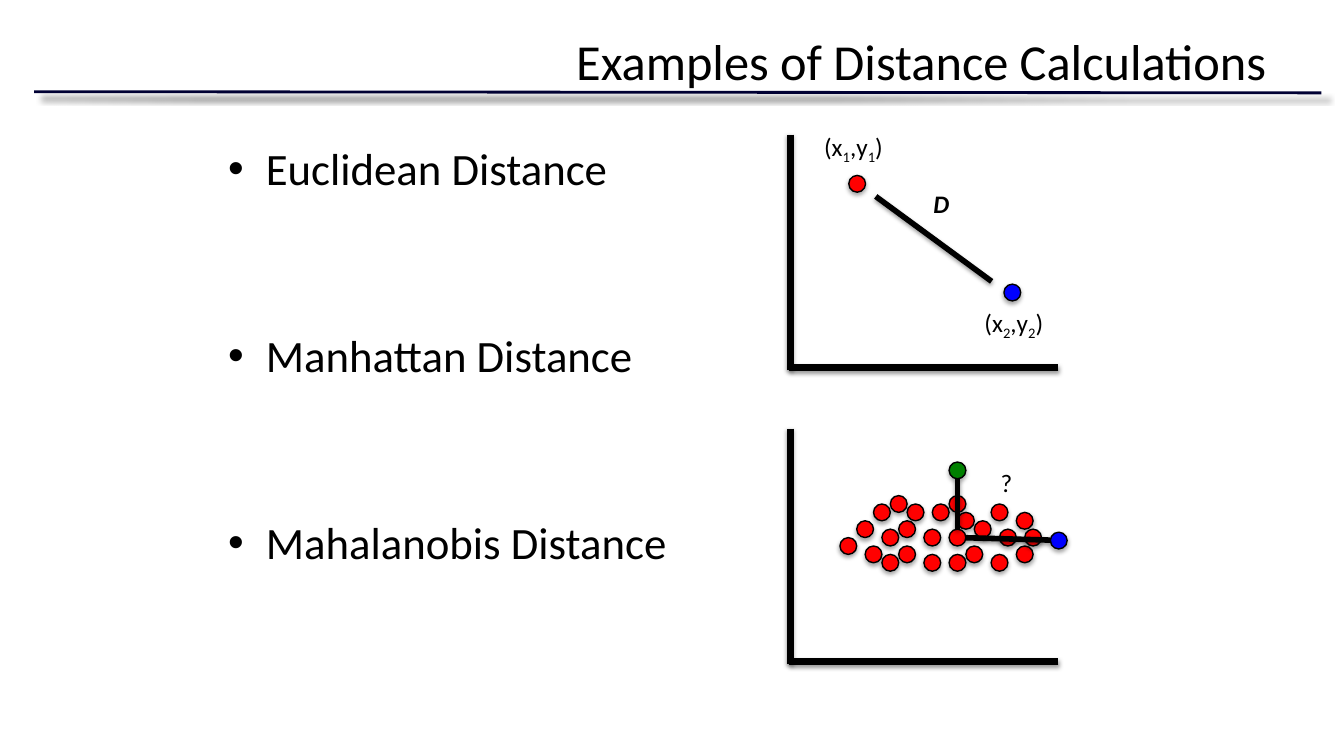
from dataclasses import dataclass

from lxml import etree
from pptx import Presentation
from pptx import util as u
from pptx.dml.color import RGBColor
from pptx.enum import shapes, text
from pptx.oxml import ns

BLACK = RGBColor(0x00, 0x00, 0x00)
NAVY = RGBColor(0x00, 0x00, 0x33)
RED = RGBColor(0xFF, 0x00, 0x00)
BLUE = RGBColor(0x00, 0x00, 0xFF)
GREEN = RGBColor(0x00, 0x80, 0x00)
FONT = "Calibri"
GRID = 2.54 / 12
DOT_SIZE = 2 * GRID


@dataclass(frozen=True)
class Shadow:
    opacity: int
    blur: float
    distance: float
    angle: int


@dataclass(frozen=True)
class Segment:
    x1: float
    y1: float
    x2: float
    y2: float
    width: float
    color: RGBColor = BLACK
    shadow: Shadow = Shadow(38, 3.1, 1.6, 90)


@dataclass(frozen=True)
class Dot:
    left: float
    top: float
    color: RGBColor


@dataclass(frozen=True)
class Label:
    left: float
    top: float
    width: float
    pieces: tuple[str, ...]
    strong: bool = False


DOT_SHADOW = Shadow(35, 3.1, 1.8, 90)
HEADER_RULE = Segment(0.86, 2.31, 33.3, 2.34, 2, NAVY, Shadow(50, 4, 6, 45))
METHODS = ("Euclidean Distance", "Manhattan Distance", "Mahalanobis Distance")
PLOT_TOPS = (3.39, 10.8)
POINT_PAIR = (Dot(25.3, 7.16, BLUE), Dot(21.39, 4.42, RED))
PAIR_DISTANCE = Segment(22.07, 4.95, 24.99, 7.09, 4)
CLUSTER_CELLS = (
    (102, 62), (104, 60), (105, 63), (103, 65), (107, 65), (107, 62),
    (108, 60), (110, 63), (110, 66), (111, 60), (114, 61), (113, 63),
    (116, 62), (115, 65), (118, 60), (118, 66), (113, 66), (119, 63),
    (121, 65), (121, 61), (122, 63), (113, 59), (106, 59), (100, 64),
    (105, 66),
)
OUTLIERS = (Dot(26.47, 13.41, BLUE), Dot(113 * GRID, 55 * GRID, GREEN))
OUTLIER_DISTANCES = (
    Segment(24.13, 12.07, 24.13, 13.34, 4),
    Segment(26.47, 13.61, 24.34, 13.55, 4),
)
LABELS = (
    Label(20.52, 3.18, 2.06, ("(x", "1", ",y", "1", ")")),
    Label(24.56, 7.62, 2.06, ("(x", "2", ",y", "2", ")")),
    Label(23.27, 4.62, 0.91, ("D",), True),
    Label(24.97, 11.64, 0.81, ("?",)),
)


def add_shadow(shape, shadow: Shadow) -> None:
    effects = etree.SubElement(shape._element.spPr, ns.qn("a:effectLst"))
    outer = etree.SubElement(
        effects,
        ns.qn("a:outerShdw"),
        blurRad=str(u.Pt(shadow.blur)),
        dist=str(u.Pt(shadow.distance)),
        dir=str(shadow.angle * 60000),
        algn="t",
        rotWithShape="0",
    )
    color = etree.SubElement(outer, ns.qn("a:srgbClr"), val=str(BLACK))
    etree.SubElement(color, ns.qn("a:alpha"), val=str(shadow.opacity * 1000))


def draw_segment(page, segment: Segment) -> None:
    line = page.shapes.add_connector(
        shapes.MSO_CONNECTOR.STRAIGHT,
        u.Cm(segment.x1), u.Cm(segment.y1), u.Cm(segment.x2), u.Cm(segment.y2),
    )
    line.line.color.rgb = segment.color
    line.line.width = u.Pt(segment.width)
    add_shadow(line, segment.shadow)


def draw_dot(page, dot: Dot) -> None:
    circle = page.shapes.add_shape(
        shapes.MSO_SHAPE.OVAL,
        u.Cm(dot.left), u.Cm(dot.top), u.Cm(DOT_SIZE), u.Cm(DOT_SIZE),
    )
    circle.fill.solid()
    circle.fill.fore_color.rgb = dot.color
    circle.line.color.rgb = BLACK
    circle.line.width = u.Pt(1)
    add_shadow(circle, DOT_SHADOW)


def draw_axes(page, top: float) -> None:
    draw_segment(page, Segment(19.91, top, 19.91, top + 5.93, 5))
    draw_segment(page, Segment(26.67, top + 5.88, 19.89, top + 5.88, 5))


def style_font(font, size: float) -> None:
    font.name = FONT
    font.size = u.Pt(size)
    font.color.rgb = BLACK


def draw_label(page, label: Label) -> None:
    box = page.shapes.add_textbox(
        u.Cm(label.left), u.Cm(label.top), u.Cm(label.width), u.Cm(1.02)
    )
    box.text_frame.word_wrap = False
    para = box.text_frame.paragraphs[0]
    for index, piece in enumerate(label.pieces):
        span = para.add_run()
        span.text = piece
        style_font(span.font, 18)
        span.font.bold = span.font.italic = label.strong
        if index % 2:
            span.font._element.set("baseline", "-25000")


def draw_title(page) -> None:
    title = page.shapes.title
    title.left, title.top = u.Cm(1.69), u.Cm(0.64)
    title.width, title.height = u.Cm(30.48), u.Cm(3.18)
    frame = title.text_frame
    frame.text = "Examples of Distance Calculations"
    frame.vertical_anchor = text.MSO_ANCHOR.TOP
    para = frame.paragraphs[0]
    para.alignment = text.PP_ALIGN.RIGHT
    style_font(para.runs[0].font, 36)


def draw_methods(page) -> None:
    box = page.shapes.add_textbox(u.Cm(5.5), u.Cm(3.43), u.Cm(22.86), u.Cm(13.72))
    frame = box.text_frame
    frame.word_wrap = True
    for index, method in enumerate(METHODS):
        para = frame.add_paragraph() if index else frame.paragraphs[0]
        para.text = method
        if index:
            para.space_before = u.Pt(95.2)
        props = para._p.get_or_add_pPr()
        props.set("marL", str(u.Cm(0.95)))
        props.set("indent", str(u.Cm(-0.95)))
        etree.SubElement(props, ns.qn("a:buFont"), typeface="Arial")
        etree.SubElement(props, ns.qn("a:buChar"), char="•")
        style_font(para.runs[0].font, 32)


def main() -> None:
    deck = Presentation()
    deck.slide_width, deck.slide_height = u.Cm(33.87), u.Cm(19.05)
    page = deck.slides.add_slide(deck.slide_layouts.get_by_name("Title Only"))
    draw_segment(page, HEADER_RULE)
    draw_title(page)
    draw_methods(page)
    for top in PLOT_TOPS:
        draw_axes(page, top)
    cluster = tuple(Dot(x * GRID, y * GRID, RED) for x, y in CLUSTER_CELLS)
    for dot in POINT_PAIR + cluster + OUTLIERS:
        draw_dot(page, dot)
    for segment in (PAIR_DISTANCE, *OUTLIER_DISTANCES):
        draw_segment(page, segment)
    for label in LABELS:
        draw_label(page, label)
    deck.save("out.pptx")


if __name__ == "__main__":
    main()
